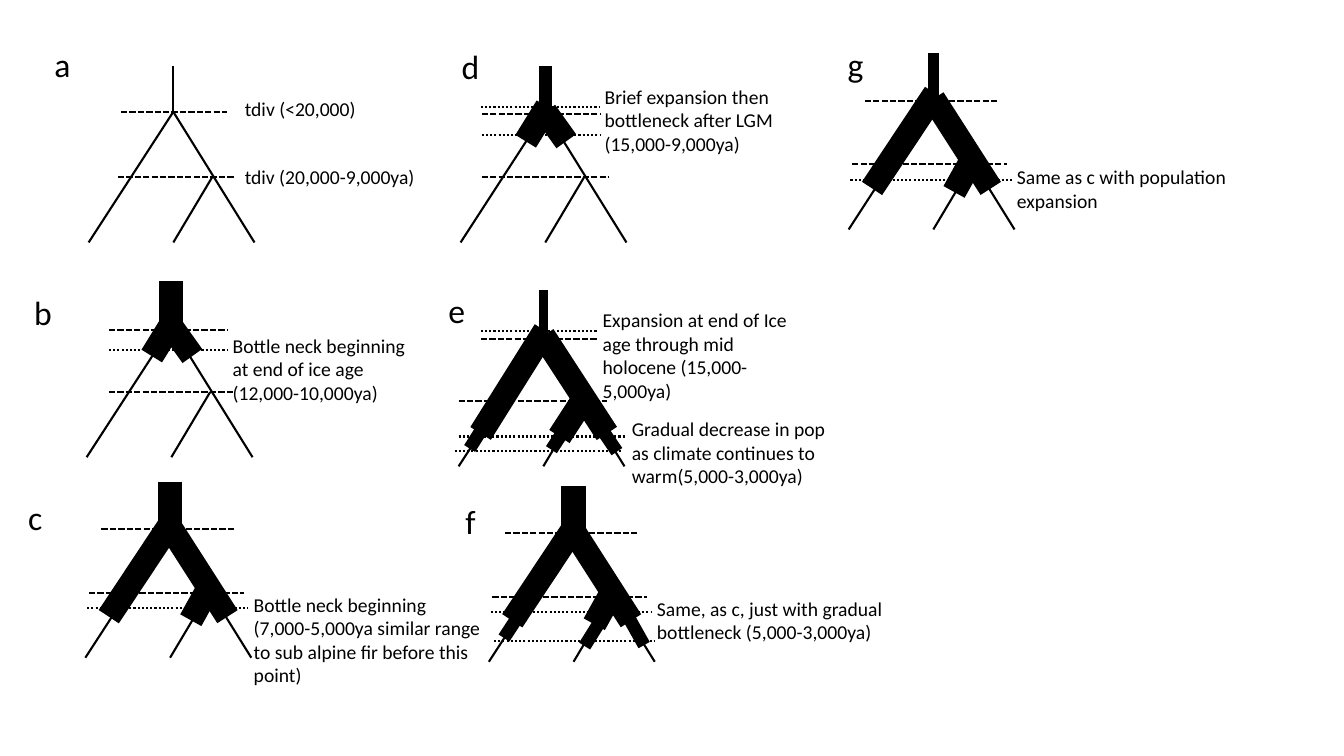
"""Build a slide of seven population-split scenarios, drawn as branching trees."""
from dataclasses import dataclass

from lxml import etree
from pptx import Presentation
from pptx.dml.color import RGBColor
from pptx.enum.dml import MSO_LINE
from pptx.enum.shapes import MSO_CONNECTOR
from pptx.enum.text import MSO_AUTO_SIZE
from pptx.oxml.ns import qn
from pptx.util import Pt

STRAIGHT = MSO_CONNECTOR.STRAIGHT
DASH = MSO_LINE.SQUARE_DOT
DOT = MSO_LINE.ROUND_DOT
FIT_TEXT = MSO_AUTO_SIZE.SHAPE_TO_FIT_TEXT

COLORS = {"ink": "000000"}
FONT = "Calibri"
THIN, MEDIUM, THICK = 1.5, 9.25, 17.25
STEM = (0, -32.4, 0, 0)
BRANCHES = ((0, 0, 58, 93.3), (0, 0, -60.5, 93.3), (27.7, 46.8, 0, 93.3))

SHORT_GROWTH = ((0, 0, 15, 21), (1.2, -3.6, -14, 21))
LONG_GROWTH = ((0, 0, 41, 64), (1.2, -3.8, -43.8, 64), (28.5, 41.8, 14.8, 66.5))
LONGEST_GROWTH = ((0, 0, 45.4, 69.8), (1.2, -3.6, -44.8, 69.8), (27.4, 47.5, 11.5, 72))
E_TIPS = ((38.9, 62.6, 52.6, 82.8), (16.6, 64.8, 5.8, 81.4), (-41.8, 63.4, -52.6, 80.6))
F_TIPS = ((40.3, 63.4, 50.4, 81.4), (18.7, 64.8, 7.9, 82.1), (-38.9, 59.8, -49.7, 76.3))

LONG_DASHES = ((-49, 46.6, 1.6), (-58, 52.6, 46.8))
LONG_DOT = (-59.2, 56, 57.8)


@dataclass
class Scenario:
    """One tree: branches and guides are measured from its apex, texts from the page."""

    letter: str
    letter_at: tuple
    apex: tuple
    stem_width: float
    dashes: tuple
    notes: tuple
    dots: tuple = ()
    growth: tuple = ()
    tips: tuple = ()


SCENARIOS = (
    Scenario("a", (31.7, 28), (123.8, 79.9), THIN,
             ((-37.4, 38.2, 0), (-39.6, 43.9, 46.8)),
             (("tdiv (<20,000)", 167.8, 65.5, 109.4, 24.2),
              ("tdiv (20,000-9,000ya)", 167.8, 114.5, 139, 24.2))),
    Scenario("b", (17.3, 205.2), (122.4, 233.3), THICK,
             ((-44.6, 39.6, 2.2), (-44.6, 45.4, 46.8)),
             (("Bottle neck beginning at end of ice age (12,000-10,000ya)",
               159.1, 234.7, 139, 58.3),),
             ((-44.6, 39.6, 16.6),), SHORT_GROWTH),
    Scenario("c", (13, 351.4), (121.5, 376.5), THICK, LONG_DASHES,
             (("Bottle neck beginning (7,000-5,000ya similar range to sub alpine fir "
               "before this point)", 174.2, 419.8, 177.1, 74.9),),
             (LONG_DOT,), LONG_GROWTH),
    Scenario("d", (322.6, 29.5), (389.5, 79.9), MEDIUM,
             ((-45.4, 38.9, 1.4), (-45.4, 45.4, 46.8)),
             (("Brief expansion then bottleneck after LGM (15,000-9,000ya)",
               424.8, 56.9, 139, 58.3),),
             ((-45.4, 39.6, 16.6), (-46, 38.9, -3.6)), SHORT_GROWTH),
    Scenario("e", (313.2, 203.8), (388.1, 239.8), 6.25,
             ((-44.6, 38.9, 2.2), (-60.5, 45.4, 46.8)),
             (("Expansion at end of Ice age through mid holocene (15,000-5,000ya)",
               423.4, 216.7, 151.2, 74.9),
              ("Gradual decrease in pop as climate continues to warm(5,000-3,000ya)",
               444.2, 294.5, 157, 58.3)),
             ((-60.5, 59, 72), (-44.6, 38.9, -3.6), (-63.4, 56.2, 82.1)),
             LONGEST_GROWTH, E_TIPS),
    Scenario("f", (325.4, 354.2), (409.7, 379.4), THICK, LONG_DASHES,
             (("Same, as c, just with gradual bottleneck (5,000-3,000ya)",
               462.2, 422.6, 177.1, 41),),
             (LONG_DOT, (-56.9, 58.3, 78.5)), LONG_GROWTH, F_TIPS),
    Scenario("g", (598.3, 28), (666.7, 70.6), 7.75, LONG_DASHES,
             (("Same as c with population expansion", 719.3, 114.5, 177.1, 41),),
             (LONG_DOT,), LONG_GROWTH),
)


def add_line(page, apex, ends, width, dash=None):
    """Draw a straight line whose ends are given relative to a tree's apex."""
    left, top = apex
    x1, y1, x2, y2 = ends
    line = page.shapes.add_connector(
        STRAIGHT, Pt(left + x1), Pt(top + y1), Pt(left + x2), Pt(top + y2))
    line.line.color.rgb = RGBColor.from_string(COLORS["ink"])
    line.line.width = Pt(width)
    if dash is not None:
        line.line.dash_style = dash
    etree.SubElement(line._element.spPr, qn("a:effectLst"))


def add_text(page, text, left, top, width, height, size):
    """Add a wrapped text box with one run."""
    box = page.shapes.add_textbox(Pt(left), Pt(top), Pt(width), Pt(height))
    box.text_frame.word_wrap = True
    box.text_frame.auto_size = FIT_TEXT
    para = box.text_frame.paragraphs[0]
    span = para.add_run()
    span.text = text
    span.font.name = FONT
    span.font.size = Pt(size)
    span.font.color.rgb = RGBColor.from_string(COLORS["ink"])


def add_scenario(page, scenario):
    """Draw one tree with its guides, notes and letter."""
    apex = scenario.apex
    add_line(page, apex, STEM, scenario.stem_width)
    for branches, width in ((BRANCHES, THIN), (scenario.growth, THICK),
                            (scenario.tips, MEDIUM)):
        for ends in branches:
            add_line(page, apex, ends, width)
    for guides, dash in ((scenario.dashes, DASH), (scenario.dots, DOT)):
        for start, end, height in guides:
            add_line(page, apex, (start, height, end, height), THIN, dash)
    for note in scenario.notes:
        add_text(page, *note, size=14)
    add_text(page, scenario.letter, *scenario.letter_at, 109.4, 36, size=24)


def main():
    """Build and save the slide."""
    deck = Presentation()
    deck.slide_width, deck.slide_height = Pt(960), Pt(540)
    page = deck.slides.add_slide(deck.slide_layouts[6])
    for scenario in SCENARIOS:
        add_scenario(page, scenario)
    deck.save("out.pptx")


main()
